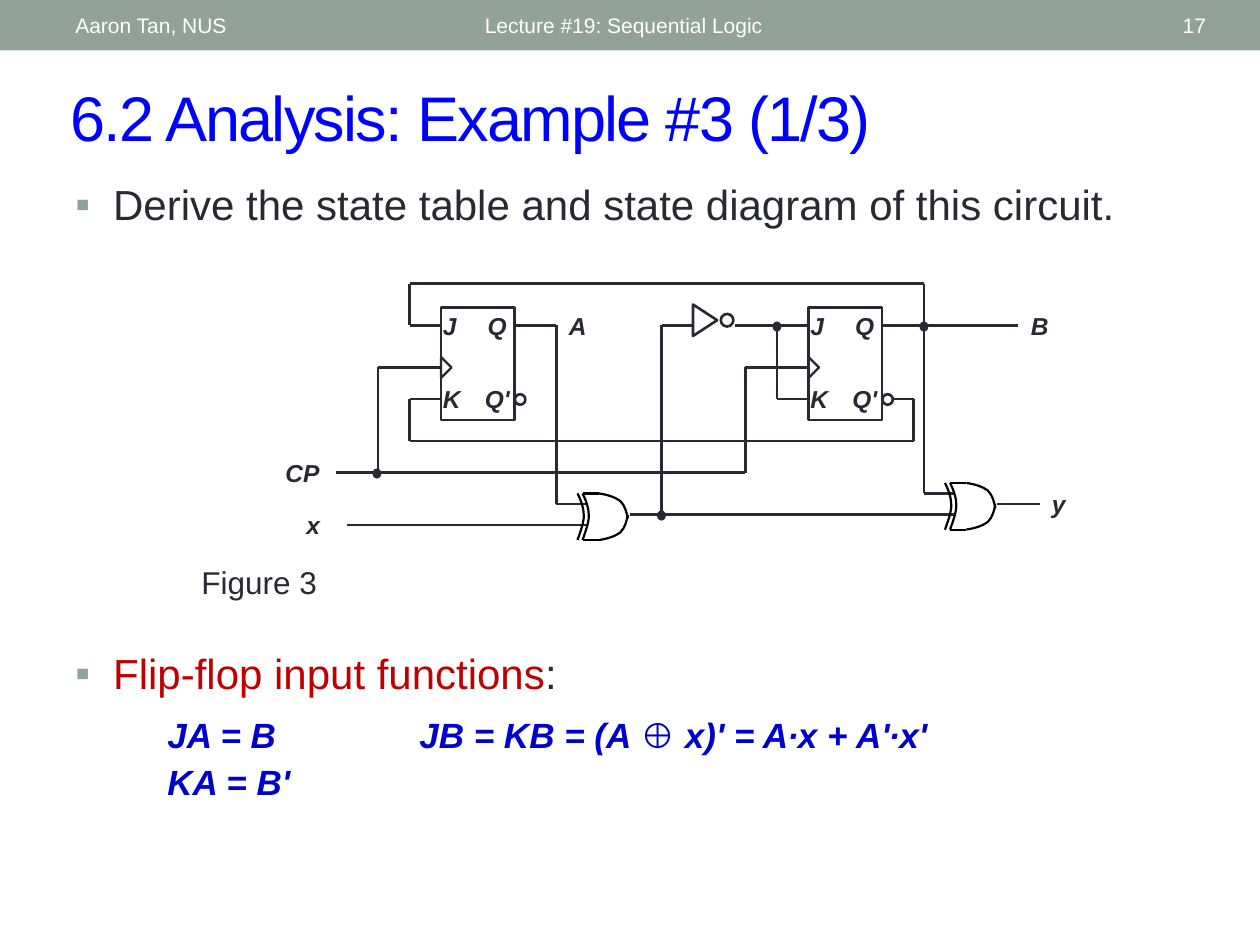
from dataclasses import dataclass

from lxml import etree
from pptx import Presentation
from pptx import util as u
from pptx.dml.color import RGBColor
from pptx.enum import shapes as kinds, text as t
from pptx.oxml import ns


@dataclass(frozen=True)
class Theme:
    font: str = "Arial"
    band: str = "93A299"
    white: str = "FFFFFF"
    ink: str = "292934"
    gate: str = "000000"
    title: str = "0000FF"
    term: str = "C00000"
    formula: str = "0000CC"
    title_size: int = 36
    tab_size: int = 26
    body_size: int = 24
    formula_size: int = 20
    caption_size: int = 18
    label_size: int = 14
    header_size: int = 12
    wire: float = 1.25
    outline: float = 1.5


THEME = Theme()
UNIT = 1 / 12  # circuit grid step, inches
FLIP_FLOP_PITCH = 35  # grid columns from flip-flop A to flip-flop B

# text, left, width, alignment
HEADER = [
    ("Aaron Tan, NUS", 0.5, 3.17, t.PP_ALIGN.LEFT),
    ("Lecture #19: Sequential Logic", 3.75, 4.5, t.PP_ALIGN.LEFT),
    ("17", 8.72, 0.95, t.PP_ALIGN.RIGHT),
]
TITLE = "6.2 Analysis: Example #3 (1/3)"
TASK = [("Derive the state table and state diagram of this circuit.", THEME.ink)]
TOPIC = [("Flip-flop input functions", THEME.term), (":", THEME.ink)]
# space before, then runs of text, size, bold, italic
FORMULAS = [
    (3, [
        ("\t", THEME.tab_size, False, True),
        ("JA = B\t\tJB = KB = (A ", THEME.formula_size, True, True),
        ("⊕", THEME.formula_size, True, False),
        (" x)' = A∙x + A'∙x'", THEME.formula_size, True, True),
    ]),
    (1.3, [("\tKA = B'", THEME.formula_size, True, True)]),
]

# Circuit parts are in grid columns and rows
WIRES = [
    [(42, 31), (39, 31), (39, 27), (88, 27), (88, 47), (91, 47)],  # B to JA and y
    [(84, 31), (97, 31)],  # output B
    [(84, 38), (87, 38), (87, 42), (39, 42), (39, 38), (42, 38)],  # B' to KA
    [(49, 31), (53, 31), (53, 48), (56, 48)],  # A to gate
    [(33, 50), (56, 50)],  # input x
    [(60, 49), (91, 49)],  # A xor x to output gate
    [(63, 49), (63, 31), (66, 31)],  # A xor x to inverter
    [(70, 31), (77, 31)],  # inverter to JB
    [(74, 31), (74, 38), (77, 38)],  # inverter to KB
    [(32, 45), (71, 45), (71, 35), (77, 35)],  # clock to B
    [(36, 45), (36, 35), (42, 35)],  # clock to A
    [(95, 48), (99, 48)],  # output y
]
JUNCTIONS = [(74, 31.1), (35.9, 45.1), (88, 31.1), (63, 49.1)]
XOR_GATES = [(55, 47), (90, 46)]
# text, column, row, width in inches
LABELS = [
    ("A", 53, 29, 0.34), ("B", 97, 29, 0.34), ("CP", 26, 43, 0.47),
    ("x", 28, 48, 0.31), ("y", 99, 46, 0.31),
]
PIN_LABELS = [
    ("J", 41, 29, 0.31), ("Q", 45.25, 29, 0.35),
    ("K", 41, 36, 0.34), ("Q'", 45, 35.95, 0.42),
]
# Gate curves in inches from the gate's corner: start, then Bezier control points
GATE_BACK = [
    (0, 0), (0.03, 0.06), (0.05, 0.12), (0.05, 0.18),
    (0.05, 0.24), (0.01, 0.34), (0, 0.37),
]
GATE_NOSE = [
    (0.17, 0), (0.24, 0.01), (0.3, 0.03), (0.34, 0.06),
    (0.38, 0.1), (0.39, 0.15), (0.4, 0.2),
]
GATE_HEIGHT = 0.37


def color(value):
    return RGBColor.from_string(value)


def add_run(paragraph, text, size, fill, bold=False, italic=False):
    run = paragraph.add_run()
    run.text = text
    font = run.font
    font.name, font.size, font.bold, font.italic = THEME.font, u.Pt(size), bold, italic
    font.color.rgb = color(fill)
    return run


def add_text_box(shapes, left, top, width, height, wrap=True):
    frame = shapes.add_textbox(*map(u.Inches, (left, top, width, height))).text_frame
    frame.word_wrap = wrap
    return frame


def set_indent(paragraph, margin, indent):
    properties = paragraph._p.get_or_add_pPr()
    properties.set("marL", str(u.Inches(margin)))
    properties.set("indent", str(u.Inches(indent)))
    properties.set("defTabSz", str(u.Inches(1)))
    return properties


def add_bullet(paragraph, runs):
    properties = set_indent(paragraph, 0.3, -0.3)
    bullet_color = etree.SubElement(properties, ns.qn("a:buClr"))
    etree.SubElement(bullet_color, ns.qn("a:srgbClr"), val=THEME.band)
    etree.SubElement(properties, ns.qn("a:buFont"), typeface=THEME.font)
    etree.SubElement(properties, ns.qn("a:buChar"), char="▪")
    for text, fill in runs:
        add_run(paragraph, text, THEME.body_size, fill)


def add_outline(shapes, kind, column, row, columns, rows, weight, fill=None, rotation=0):
    shape = shapes.add_shape(kind, *(u.Inches(n * UNIT) for n in (column, row, columns, rows)))
    shape.shadow.inherit = False
    shape.rotation = rotation
    if fill:
        shape.fill.solid()
        shape.fill.fore_color.rgb = color(fill)
    else:
        shape.fill.background()
    shape.line.color.rgb = color(THEME.ink)
    shape.line.width = u.Pt(weight)


def add_line(shapes, start, end, stroke):
    """Straight line between two points given in inches."""
    line = shapes.add_connector(kinds.MSO_CONNECTOR.STRAIGHT, *map(u.Inches, (*start, *end)))
    line.line.color.rgb = color(stroke)
    line.line.width = u.Pt(THEME.wire)
    etree.SubElement(line._element.spPr, ns.qn("a:effectLst"))


def add_curve(shapes, controls, left, top, flip=False):
    """Open cubic Bezier outline, optionally mirrored top to bottom."""
    points = [
        (u.Inches(left + x), u.Inches(top + (GATE_HEIGHT - y if flip else y)))
        for x, y in controls
    ]
    builder = shapes.build_freeform(*points[0])
    builder.add_line_segments(points[1:], close=False)
    shape = builder.convert_to_shape()
    segments = list(shape._element.iter(ns.qn("a:lnTo")))
    outline = segments[0].getparent()
    for first in range(0, len(segments), 3):
        curve = etree.SubElement(outline, ns.qn("a:cubicBezTo"))
        for segment in segments[first:first + 3]:
            curve.append(segment[0])
            outline.remove(segment)
    shape.shadow.inherit = False
    shape.fill.background()
    shape.line.color.rgb = color(THEME.gate)
    shape.line.width = u.Pt(THEME.wire)


def add_xor_gate(shapes, column, row):
    left, top = column * UNIT, row * UNIT
    front = left + 0.04
    for back in (left, front):
        add_curve(shapes, GATE_BACK, back, top)
    for flip in (False, True):
        edge = top + GATE_HEIGHT * flip
        add_line(shapes, (front, edge), (left + 0.17, edge), THEME.gate)
        add_curve(shapes, GATE_NOSE, left, top, flip)


def add_label(shapes, text, column, row, width):
    frame = add_text_box(shapes, column * UNIT, row * UNIT, width, 0.33, wrap=False)
    add_run(frame.paragraphs[0], text, THEME.label_size, THEME.ink, True, True)


def add_flip_flop(shapes, shift):
    kind = kinds.MSO_SHAPE
    add_outline(shapes, kind.RECTANGLE, 42 + shift, 29.3, 7, 10.7, THEME.outline)
    add_outline(shapes, kind.ISOSCELES_TRIANGLE, 41.5 + shift, 34.5, 2, 1, THEME.wire, rotation=90)
    add_outline(shapes, kind.OVAL, 49.04 + shift, 37.55, 1, 1, THEME.outline, THEME.white)
    for text, column, row, width in PIN_LABELS:
        add_label(shapes, text, column + shift, row, width)


def add_circuit(shapes):
    for wire in WIRES:
        for ends in zip(wire, wire[1:]):
            start, end = ((x * UNIT, y * UNIT) for x, y in ends)
            add_line(shapes, start, end, THEME.ink)
    for gate in XOR_GATES:
        add_xor_gate(shapes, *gate)
    for shift in (0, FLIP_FLOP_PITCH):
        add_flip_flop(shapes, shift)
    kind = kinds.MSO_SHAPE
    for x, y in JUNCTIONS:
        add_outline(shapes, kind.OVAL, x - 0.36, y - 0.42, 0.72, 0.84, 0.75, THEME.ink)
    add_outline(shapes, kind.FLOWCHART_EXTRACT, 65.65, 29.35, 3, 2.3, THEME.outline, rotation=90)
    add_outline(shapes, kind.OVAL, 68.65, 29.9, 1.2, 1.2, THEME.outline)
    for label in LABELS:
        add_label(shapes, *label)
    caption = add_text_box(shapes, 1.5, 4.42, 1.25, 0.4)
    add_run(caption.paragraphs[0], "Figure 3", THEME.caption_size, THEME.ink)


def main():
    presentation = Presentation()
    presentation.slide_width, presentation.slide_height = u.Inches(10), u.Inches(7.5)
    slide = presentation.slides.add_slide(presentation.slide_layouts[5])
    shapes = slide.shapes

    band = shapes.add_shape(kinds.MSO_SHAPE.RECTANGLE, 0, 0, u.Inches(10), u.Inches(0.4))
    band.shadow.inherit = False
    band.fill.solid()
    band.fill.fore_color.rgb = color(THEME.band)
    band.line.fill.background()
    for text, left, width, alignment in HEADER:
        frame = add_text_box(shapes, left, 0.02, width, 0.36)
        frame.vertical_anchor = t.MSO_ANCHOR.MIDDLE
        frame.paragraphs[0].alignment = alignment
        add_run(frame.paragraphs[0], text, THEME.header_size, THEME.white)

    title = shapes.title
    title.left, title.top, title.width, title.height = map(u.Inches, (0.46, 0.57, 9.21, 0.7))
    title.text_frame.vertical_anchor = t.MSO_ANCHOR.MIDDLE
    paragraph = title.text_frame.paragraphs[0]
    paragraph.alignment = t.PP_ALIGN.LEFT
    run = add_run(paragraph, TITLE, THEME.title_size, THEME.title)
    run.font._element.set("spc", "-100")

    add_bullet(add_text_box(shapes, 0.5, 1.37, 9, 0.54).paragraphs[0], TASK)
    functions = add_text_box(shapes, 0.5, 5.09, 9, 1.33)
    add_bullet(functions.paragraphs[0], TOPIC)
    for space, runs in FORMULAS:
        paragraph = functions.add_paragraph()
        paragraph.level = 1
        set_indent(paragraph, 0.73, -0.36)
        paragraph.space_before = u.Pt(space)
        for text, size, bold, italic in runs:
            add_run(paragraph, text, size, THEME.formula, bold, italic)

    add_circuit(shapes.add_group_shape().shapes)
    presentation.save("out.pptx")


if __name__ == "__main__":
    main()
